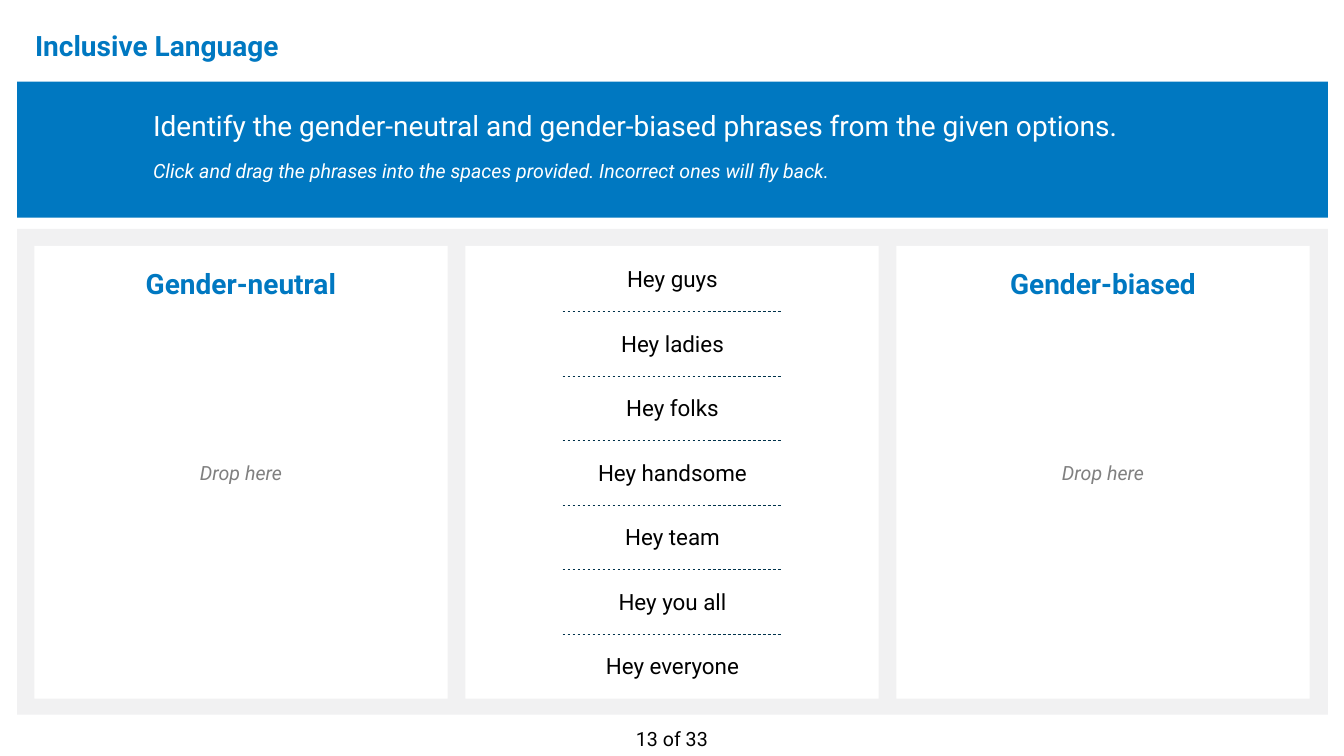
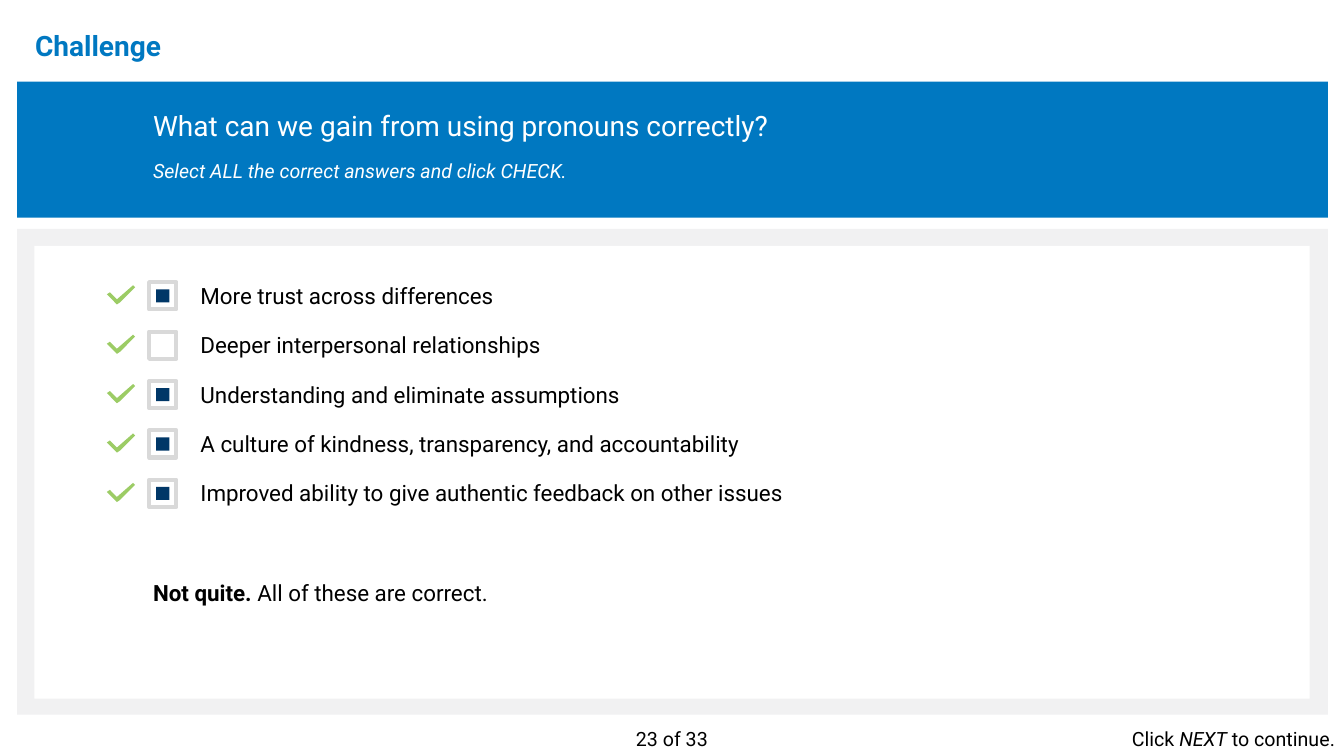
"""Build two quiz slides: a drag-and-drop exercise and a multiple-choice challenge."""
from typing import NamedTuple

from lxml.etree import SubElement
from pptx import Presentation
from pptx.dml.color import RGBColor
from pptx.enum.dml import MSO_LINE
from pptx.enum.shapes import MSO_CONNECTOR, MSO_SHAPE
from pptx.enum.text import MSO_ANCHOR, PP_ALIGN
from pptx.oxml.ns import qn
from pptx.util import Inches, Pt

COLORS = {
    "blue": "0078C1",
    "navy": "003767",
    "divider": "00324B",
    "white": "FFFFFF",
    "black": "000000",
    "hint": "808080",
    "backdrop": "F1F1F2",
    "border": "D9D9D9",
    "green": "9CCC65",
}
FONT = "Roboto"
ROW_STEP = 0.49
PHRASE_STEP = 0.64
TICK_OUTLINE = [(0.26, 0), (0.1, 0.14), (0.03, 0.07), (0, 0.09),
                (0.1, 0.19), (0.13, 0.17), (0.28, 0.02)]


class Area(NamedTuple):
    left: float
    top: float
    width: float
    height: float

    def lengths(self):
        return [Inches(value) for value in self]


class Column(NamedTuple):
    heading: str
    hint: str


class Answer(NamedTuple):
    text: str
    selected: bool


PANEL = Area(0.34, 2.44, 12.65, 4.49)
COLUMN_WIDTH = 4.1
COLUMNS = [
    Column("Gender-neutral", "Drop here"),
    Column("", ""),
    Column("Gender-biased", "Drop here"),
]
PHRASES = ["Hey guys", "Hey ladies", "Hey folks", "Hey handsome",
           "Hey team", "Hey you all", "Hey everyone"]
ANSWERS = [
    Answer("More trust across differences", True),
    Answer("Deeper interpersonal relationships", False),
    Answer("Understanding and eliminate assumptions", True),
    Answer("A culture of kindness, transparency, and accountability", True),
    Answer("Improved ability to give authentic feedback on other issues", True),
]


def rgb(color: str) -> RGBColor:
    return RGBColor.from_string(COLORS[color])


def add_span(para, text: str, *, size: float = 16, color: str = "black",
             bold: bool = False, italic: bool = False) -> None:
    span = para.add_run()
    span.text = text
    span.font.name = FONT
    span.font.size = Pt(size)
    span.font.bold = bold
    span.font.italic = italic
    span.font.color.rgb = rgb(color)


def write(frame, text: str, *, align=PP_ALIGN.LEFT, before: float = 0,
          after: float = 0, spacing: float = 1.0, **span_format):
    para = frame.paragraphs[0]
    if para.runs:
        para = frame.add_paragraph()
        para.space_before = Pt(before)
    para.alignment = align
    para.space_after = Pt(after)
    para.line_spacing = spacing
    add_span(para, text, **span_format)
    return para


def add_box(page, area: Area, anchor=MSO_ANCHOR.TOP):
    frame = page.shapes.add_textbox(*area.lengths()).text_frame
    frame.word_wrap = True
    frame.vertical_anchor = anchor
    return frame


def paint(shape, fill: str, border: str = "", border_width: float = 0) -> None:
    shape.shadow.inherit = False
    shape.fill.solid()
    shape.fill.fore_color.rgb = rgb(fill)
    if border:
        shape.line.color.rgb = rgb(border)
        shape.line.width = Pt(border_width)
    else:
        shape.line.fill.background()


def add_rectangle(page, area: Area, fill: str, border: str = "",
                  border_width: float = 0):
    shape = page.shapes.add_shape(MSO_SHAPE.RECTANGLE, *area.lengths())
    paint(shape, fill, border, border_width)
    return shape


def add_divider(page, left: float, right: float, top: float) -> None:
    line = page.shapes.add_connector(
        MSO_CONNECTOR.STRAIGHT, Inches(left), Inches(top), Inches(right), Inches(top))
    line.line.color.rgb = rgb("divider")
    line.line.width = Pt(0.5)
    line.line.dash_style = MSO_LINE.DASH
    SubElement(line._element.spPr, qn("a:effectLst"))


def add_tick(page, left: float, top: float) -> None:
    points = [(Inches(left + x), Inches(top + y)) for x, y in TICK_OUTLINE]
    builder = page.shapes.build_freeform(*points[0], scale=1.0)
    builder.add_line_segments(points[1:], close=True)
    paint(builder.convert_to_shape(), "green")


def add_checkbox(page, left: float, top: float, selected: bool) -> None:
    side, mark = 0.27, 0.13
    inset = (side - mark) / 2
    add_rectangle(page, Area(left, top, side, side), "white", "border", 3)
    if selected:
        add_rectangle(page, Area(left + inset, top + inset, mark, mark), "navy")


def add_page(deck, title: str, question: str, instruction: str, number: str):
    page = deck.slides.add_slide(deck.slide_layouts[6])
    add_rectangle(page, Area(0.17, 0.81, 13, 1.35), "blue")
    add_rectangle(page, Area(0.17, 2.27, 13, 4.82), "backdrop")
    write(add_box(page, Area(0.25, 0.2, 11.5, 0.54), MSO_ANCHOR.MIDDLE), title,
          size=20, color="blue", bold=True, spacing=0.9)
    header = add_box(page, Area(1.42, 1.03, 11.35, 0.84))
    write(header, question, size=20, color="white", after=12)
    write(header, instruction, size=14, color="white", italic=True)
    write(add_box(page, Area(5.33, 7.16, 2.67, 0.34)), number,
          size=14, align=PP_ALIGN.CENTER)
    return page


def build_sorting_page(deck) -> None:
    page = add_page(
        deck, "Inclusive Language",
        "Identify the gender-neutral and gender-biased phrases from the given options.",
        "Click and drag the phrases into the spaces provided. Incorrect ones will fly back.",
        "13 of 33")
    column_step = (PANEL.width - COLUMN_WIDTH) / (len(COLUMNS) - 1)
    for index, column in enumerate(COLUMNS):
        area = PANEL._replace(left=PANEL.left + index * column_step, width=COLUMN_WIDTH)
        frame = add_rectangle(page, area, "white").text_frame
        if column.heading:
            frame.vertical_anchor = MSO_ANCHOR.MIDDLE
            write(frame, column.hint, size=14, color="hint", italic=True,
                  align=PP_ALIGN.CENTER)
            heading = add_box(page, area._replace(top=2.56, height=0.54),
                              MSO_ANCHOR.MIDDLE)
            write(heading, column.heading, size=20, color="blue", bold=True,
                  align=PP_ALIGN.CENTER, spacing=0.9)
    for index, phrase in enumerate(PHRASES):
        offset = index * PHRASE_STEP
        if index:
            add_divider(page, 5.58, 7.76, 2.45 + offset)
        write(add_box(page, Area(4.67, 2.58 + offset, 4, 0.37), MSO_ANCHOR.MIDDLE),
              phrase, align=PP_ALIGN.CENTER)


def build_challenge_page(deck) -> None:
    page = add_page(
        deck, "Challenge",
        "What can we gain from using pronouns correctly?",
        "Select ALL the correct answers and click CHECK.",
        "23 of 33")
    add_rectangle(page, PANEL, "white")
    answers = add_box(page, Area(1.89, 2.75, 8.14, 2.34))
    for index, answer in enumerate(ANSWERS):
        offset = index * ROW_STEP
        write(answers, answer.text, before=10, after=6)
        add_checkbox(page, 1.48, 2.8 + offset, answer.selected)
        add_tick(page, 1.06, 2.83 + offset)
    feedback = write(add_box(page, Area(1.42, 5.7, 10.3, 0.37)), "Not quite. ", bold=True)
    add_span(feedback, "All of these are correct.")
    prompt = write(add_box(page, Area(10.67, 7.16, 2.67, 0.34)), "Click ",
                   size=14, align=PP_ALIGN.RIGHT)
    add_span(prompt, "NEXT", size=14, italic=True)
    add_span(prompt, " to continue.", size=14)


def main() -> None:
    deck = Presentation()
    deck.slide_width = Inches(13.33)
    deck.slide_height = Inches(7.5)
    build_sorting_page(deck)
    build_challenge_page(deck)
    deck.save("out.pptx")


if __name__ == "__main__":
    main()
